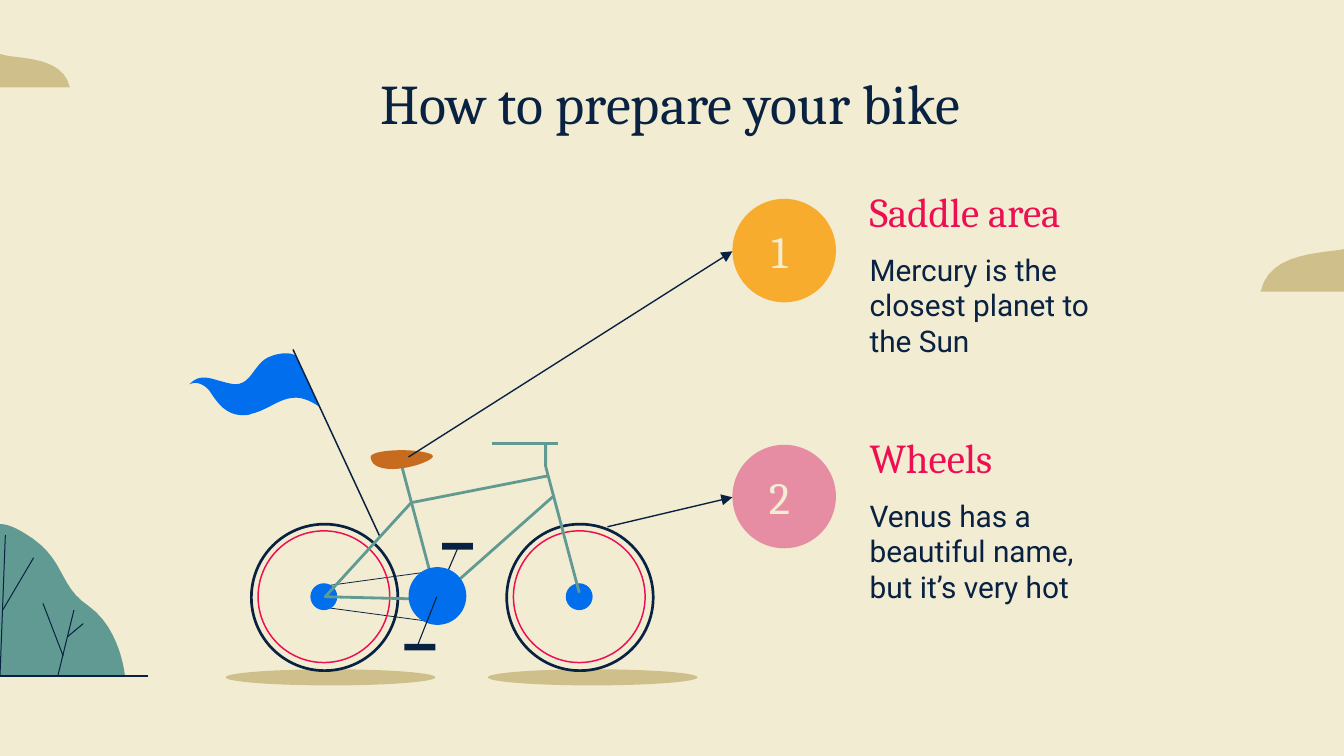
import lxml.etree
import pptx
import pptx.dml.color
import pptx.enum.shapes
import pptx.enum.text
import pptx.oxml.ns
import pptx.util

EMU_PER_PX = 9144
SLIDE_WIDTH = 1000
CURVE_STEPS = 12
COLORS = {
    "cream": "F2ECD2", "sand": "CFBF8B", "navy": "092242", "teal": "609A92",
    "blue": "006EED", "red": "ED0F51", "brown": "C76C1F", "orange": "F7AC2D", "pink": "E68CA3",
}
OVAL = pptx.enum.shapes.MSO_SHAPE.OVAL
RECTANGLE = pptx.enum.shapes.MSO_SHAPE.RECTANGLE
CENTER = pptx.enum.text.PP_ALIGN.CENTER
LEFT = pptx.enum.text.PP_ALIGN.LEFT
TOP = pptx.enum.text.MSO_ANCHOR.TOP
MIDDLE = pptx.enum.text.MSO_ANCHOR.MIDDLE
CLOUD = [(62, 0), ((63, 0), (64, 0), (65, 0)), ((84, 2), (90, 21), (102, 23)),
         ((114, 26), (146, 24), (151, 47)), ((0, 47),), ((0, 47), (5, 28), (24, 24)),
         ((42, 20), (46, 0), (62, 0))]
BUSH = [(94, 0), ((77, 0), (73, 21), (54, 28)), ((30, 37), (39, 68), (20, 81)),
        ((0, 94), (2, 113), (2, 113)), ((187, 113),), ((187, 113), (184, 78), (160, 61)),
        ((136, 45), (144, 25), (111, 6)), ((104, 2), (99, 0), (94, 0))]
TWIGS = [((98, 8), (94, 113)), ((119, 25), (96, 64)), ((149, 64), (137, 113)),
         ((156, 74), (144, 84)), ((126, 59), (141, 98)), ((-18, 113), (204, 113))]
FLAG = [(72, 3), ((70, 3), (66, 3), (61, 5)), ((48, 9), (47, 26), (34, 26)),
        ((25, 25), (17, 21), (11, 21)), ((7, 21), (4, 22), (0, 26)), ((0, 26), (2, 25), (4, 25)),
        ((7, 25), (11, 26), (15, 31)), ((21, 40), (27, 49), (40, 49)),
        ((42, 49), (44, 49), (46, 48)), ((59, 45), (67, 36), (79, 36)),
        ((84, 36), (90, 38), (97, 43)), ((79, 5),), ((79, 5), (78, 3), (72, 3))]
SADDLE = [(158, 75), ((146, 75), (133, 77), (135, 81)), ((136, 87), (143, 89), (151, 89)),
          ((165, 89), (183, 82), (181, 79)), ((180, 77), (169, 75), (158, 75))]


def px(length):
    """Turn px into EMU."""
    return pptx.util.Emu(round(length * EMU_PER_PX))


def rgb(name):
    """Look up a palette colour."""
    return pptx.dml.color.RGBColor.from_string(COLORS[name])


def set_format(target, **values):
    """Set each given attribute on the target."""
    for name, value in values.items():
        setattr(target, name, value)


def paint(shape, fill=None, line=None, weight=1):
    """Give a shape a plain fill and line, without shadow."""
    shape.shadow.inherit = False
    if fill:
        shape.fill.solid()
        shape.fill.fore_color.rgb = rgb(fill)
    else:
        shape.fill.background()
    if line:
        shape.line.color.rgb = rgb(line)
        shape.line.width = pptx.util.Pt(weight)
    else:
        shape.line.fill.background()


def add_preset(shapes, kind, left, top, width, height, **look):
    """Add a painted preset shape."""
    shape = shapes.add_shape(kind, px(left), px(top), px(width), px(height))
    paint(shape, **look)


def add_path(shapes, origin, points, closed=False, **look):
    """Add a painted outline whose points are relative to the origin."""
    placed = [(px(origin[0] + x), px(origin[1] + y)) for x, y in points]
    builder = shapes.build_freeform(*placed[0])
    builder.add_line_segments(placed[1:], close=closed)
    paint(builder.convert_to_shape(), **look)


def add_line(shapes, origin, start, end, color, weight, arrow=False):
    """Add a straight line, with an arrowhead if asked."""
    ends = [px(origin[axis] + point[axis]) for point in (start, end) for axis in (0, 1)]
    line = shapes.add_connector(pptx.enum.shapes.MSO_CONNECTOR.STRAIGHT, *ends)
    line.line.color.rgb = rgb(color)
    line.line.width = pptx.util.Pt(weight)
    if arrow:
        lxml.etree.SubElement(line.line._ln, pptx.oxml.ns.qn("a:tailEnd"), type="triangle")
    lxml.etree.SubElement(line._element.spPr, pptx.oxml.ns.qn("a:effectLst"))


def trace(outline):
    """Turn an outline of straight and cubic segments into points."""
    points = [outline[0]]
    for segment in outline[1:]:
        if len(segment) == 1:
            points.append(segment[0])
            continue
        controls = (points[-1], *segment)
        for step in range(1, CURVE_STEPS + 1):
            t = step / CURVE_STEPS
            weights = ((1 - t) ** 3, 3 * t * (1 - t) ** 2, 3 * t * t * (1 - t), t ** 3)
            points.append(tuple(sum(w * c[axis] for w, c in zip(weights, controls))
                                for axis in (0, 1)))
    return points


def write(shape, words, font, size, color, align=LEFT, anchor=TOP, margins=(10, 10, 10, 10)):
    """Write one unbulleted paragraph into a shape."""
    frame = shape.text_frame
    sides = ("margin_left", "margin_top", "margin_right", "margin_bottom")
    set_format(frame, text=words, word_wrap=True, vertical_anchor=anchor,
               auto_size=pptx.enum.text.MSO_AUTO_SIZE.NONE,
               **dict(zip(sides, map(px, margins))))
    paragraph = frame.paragraphs[0]
    properties = paragraph._p.get_or_add_pPr()
    for name in ("marL", "indent"):
        properties.set(name, "0")
    lxml.etree.SubElement(properties, pptx.oxml.ns.qn("a:buNone"))
    set_format(paragraph, alignment=align, space_before=pptx.util.Pt(0))
    set_format(paragraph.runs[0].font, name=font, size=pptx.util.Pt(size), bold=False)
    paragraph.runs[0].font.color.rgb = rgb(color)


def fill_placeholder(placeholder, box, words, font, size, color, align=LEFT):
    """Move a placeholder to a box and write its text."""
    set_format(placeholder, **dict(zip(("left", "top", "width", "height"), map(px, box))))
    write(placeholder, words, font, size, color, align)


def draw_cloud(shapes, left, top, width, height, mirrored=False):
    """Draw a cloud stretched to its box."""
    points = [((151 - x if mirrored else x) * width / 151, y * height / 47)
              for x, y in trace(CLOUD)]
    add_path(shapes, (left, top), points, closed=True, fill="sand")


def draw_bush(shapes, left, top):
    """Draw the bush with its twigs and ground line."""
    bush = shapes.add_group_shape().shapes
    add_path(bush, (left, top), trace(BUSH), closed=True, fill="teal")
    for start, end in TWIGS:
        add_line(bush, (left, top), start, end, "navy", 0.54)


def draw_wheel(shapes, left, top):
    """Draw a tyre, rim and hub."""
    add_preset(shapes, OVAL, left, top, 109, 109, line="navy", weight=1.44)
    add_preset(shapes, OVAL, left + 5, top + 5, 98, 98, line="red", weight=0.78)
    add_preset(shapes, OVAL, left + 44, top + 44, 20, 20, fill="blue")


def draw_bike(shapes, left, top):
    """Draw the bike with its flag and ground shadows."""
    for shadow_left in (222, 27):
        add_preset(shapes, OVAL, left + shadow_left, top + 238, 156, 12, fill="sand")
    bike = shapes.add_group_shape().shapes
    origin = (left, top)
    add_path(bike, origin, trace(FLAG), closed=True, fill="blue")
    add_line(bike, origin, (142, 140), (77, 0), "navy", 0.78)
    chain = [(181, 165), (101, 176), (101, 192), (183, 203)]
    add_path(bike, origin, chain, line="navy", weight=0.42)
    for wheel_left in (46, 236):
        draw_wheel(bike, left + wheel_left, top + 130)
    add_line(bike, origin, (200, 147), (184, 184), "navy", 0.6)
    for pedal_left, pedal_top in ((188, 144), (160, 219)):
        add_preset(bike, RECTANGLE, left + pedal_left, top + pedal_top, 23, 5, fill="navy")
    for start, end in (((183, 181), (158, 87)), ((225, 70), (274, 70))):
        add_line(bike, origin, start, end, "teal", 1.5)
    fork = [(290, 181), (265, 87), (265, 70)]
    frame = [(271, 109), (184, 186), (101, 184), (165, 114), (267, 94)]
    for tube in (fork, frame):
        add_path(bike, origin, tube, line="teal", weight=1.5)
    add_preset(bike, OVAL, left + 163, top + 162, 43, 43, fill="blue")
    add_line(bike, origin, (184, 184), (169, 222), "navy", 0.6)
    add_path(bike, origin, trace(SADDLE), closed=True, fill="brown")


def draw_step(slide, left, top, number, color, heading, advice, target):
    """Place a numbered step and the arrow from its bike part."""
    add_preset(slide.shapes, OVAL, left, top + 19, 77, 77, fill=color)
    numeral = slide.shapes.add_textbox(px(left), px(top + 15), px(77), px(85))
    write(numeral, str(number), "Cambria", 24, "cream", CENTER, MIDDLE, (10, 10, 17, 10))
    title, body = (slide.placeholders[2 * number - 1], slide.placeholders[2 * number])
    fill_placeholder(title, (left + 92, top, 194, 37), heading, "Cambria", 22, "red")
    fill_placeholder(body, (left + 92, top + 48, 194, 76), advice, "Roboto", 16, "navy")
    add_line(slide.shapes, (0, 0), target, (left, top + 58), "navy", 0.75, arrow=True)


def main():
    """Build the slide and save it."""
    deck = pptx.Presentation()
    set_format(deck, slide_width=px(SLIDE_WIDTH), slide_height=px(SLIDE_WIDTH * 9 / 16))
    slide = deck.slides.add_slide(deck.slide_layouts.get_by_name("Comparison"))
    slide.background.fill.solid()
    slide.background.fill.fore_color.rgb = rgb("cream")
    draw_cloud(slide.shapes, -99, 18, 151, 47)
    draw_cloud(slide.shapes, 938, 154, 200, 63, mirrored=True)
    fill_placeholder(slide.shapes.title, (78, 41, 842, 52), "How to prepare your bike",
                     "Cambria", 30, "navy", CENTER)
    draw_bush(slide.shapes, -94, 390)
    draw_bike(slide.shapes, 141, 260)
    steps = [("orange", "Saddle area", "Mercury is the closest planet to the Sun", (304, 340)),
             ("pink", "Wheels", "Venus has a beautiful name, but it’s very hot", (452, 392))]
    for index, step in enumerate(steps):
        draw_step(slide, 545, 129 + 183 * index, index + 1, *step)
    deck.save("out.pptx")


if __name__ == "__main__":
    main()
